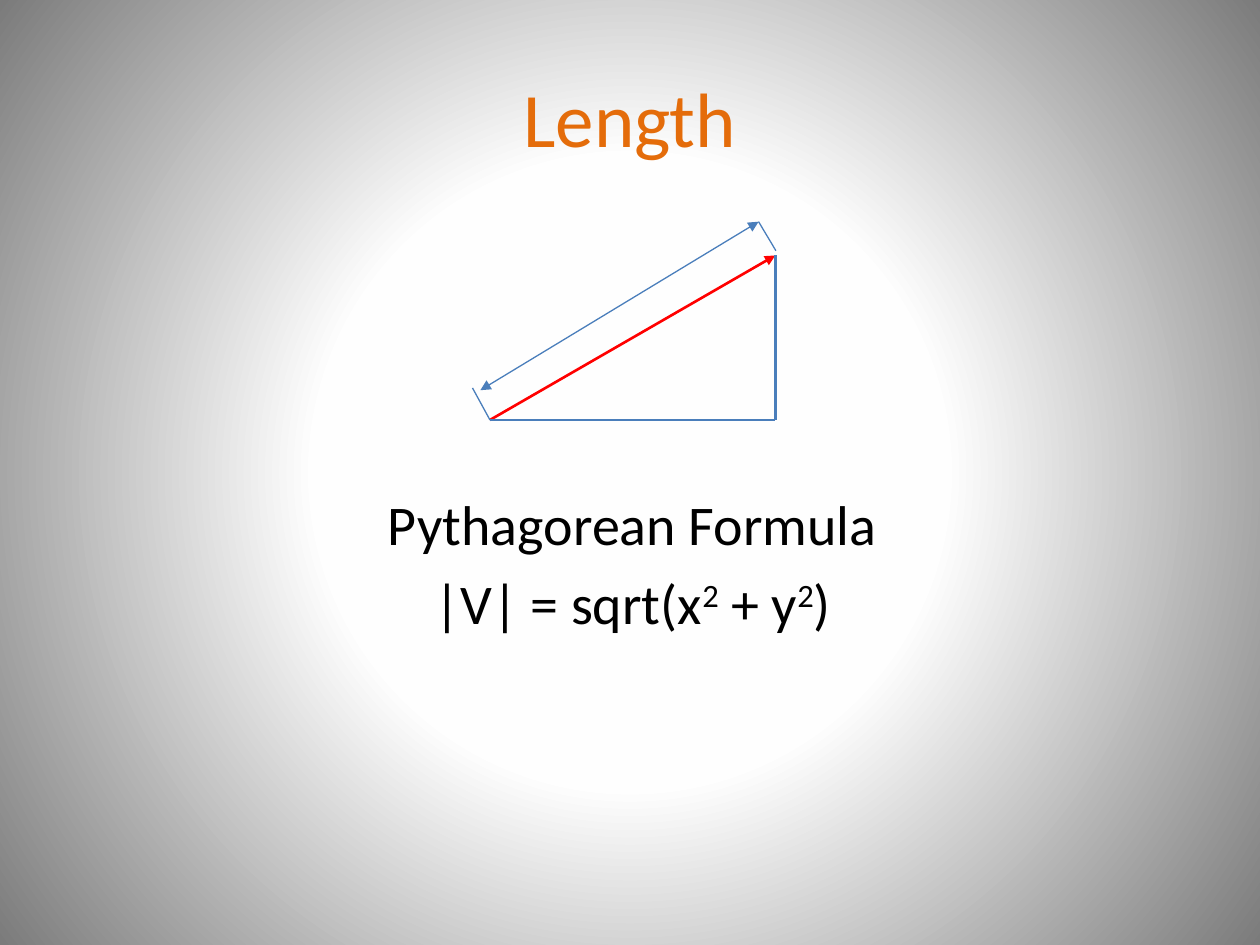
import pptx
import pptx.dml.color
import pptx.enum.shapes
import pptx.enum.text
import pptx.oxml.ns
import pptx.util
import lxml.etree

Pt = pptx.util.Pt
qn = pptx.oxml.ns.qn
FONT = "Calibri"
BLUE = "4A7EBB"
RED = "FF0000"


def color(hex_value):
    return pptx.dml.color.RGBColor.from_string(hex_value)


def add_child(parent, tag, **attributes):
    return lxml.etree.SubElement(parent, qn(tag), attributes)


def set_radial_background(slide, stops):
    slide.background.fill.gradient()
    gradient = next(slide.element.iter(qn("a:gradFill")))
    for child in list(gradient):
        gradient.remove(child)
    stop_list = add_child(gradient, "a:gsLst")
    for percent, hex_value in stops:
        stop = add_child(stop_list, "a:gs", pos=str(percent * 1000))
        add_child(stop, "a:srgbClr", val=hex_value)
    circle = add_child(gradient, "a:path", path="circle")
    add_child(circle, "a:fillToRect", l="50000", t="50000", r="50000", b="50000")


def place_placeholder(shape, left, top, width, height, anchor):
    shape.left, shape.top = Pt(left), Pt(top)
    shape.width, shape.height = Pt(width), Pt(height)
    frame = shape.text_frame
    frame.word_wrap = True
    frame.auto_size = pptx.enum.text.MSO_AUTO_SIZE.NONE
    frame.vertical_anchor = anchor
    frame.margin_left = frame.margin_right = Pt(3.6)
    frame.margin_top = frame.margin_bottom = Pt(3.6)
    return frame


def add_run(paragraph, text, size, hex_value, superscript=False):
    run = paragraph.add_run()
    run.text = text
    run.font.name = FONT
    run.font.size = Pt(size)
    run.font.color.rgb = color(hex_value)
    if superscript:
        run.font._element.set("baseline", "30000")


def format_formula_line(paragraph):
    paragraph.alignment = pptx.enum.text.PP_ALIGN.CENTER
    paragraph.space_before = Pt(7)
    properties = paragraph._p.get_or_add_pPr()
    properties.set("marL", str(Pt(27)))
    properties.set("indent", str(Pt(-27)))
    add_child(properties, "a:buNone")


def add_line(group, start, end, hex_value, width, head=False, tail=False):
    line = group.shapes.add_connector(
        pptx.enum.shapes.MSO_CONNECTOR.STRAIGHT,
        *(Pt(value) for value in (*start, *end)))
    line.line.color.rgb = color(hex_value)
    line.line.width = Pt(width)
    outline = line.line._get_or_add_ln()
    if head:
        add_child(outline, "a:headEnd", type="triangle")
    if tail:
        add_child(outline, "a:tailEnd", type="triangle")
    add_child(line._element.spPr, "a:effectLst")


def add_triangle(slide):
    group = slide.shapes.add_group_shape()
    origin, corner, tip = (280, 240), (443, 240), (443, 146)
    dimension_start, dimension_end = (274.5, 223), (433.5, 126.7)
    # Vector
    add_line(group, origin, tip, RED, 1.5, tail=True)
    # Dimension line with its extension lines
    add_line(group, origin, (270, 221.7), BLUE, 0.75)
    add_line(group, (443.4, 143.3), dimension_end, BLUE, 0.75)
    add_line(group, dimension_start, dimension_end, BLUE, 0.75, head=True, tail=True)
    # Horizontal and vertical components
    add_line(group, origin, corner, BLUE, 1.5)
    add_line(group, tip, corner, BLUE, 1.5)


def main():
    presentation = pptx.Presentation()
    presentation.slide_width, presentation.slide_height = Pt(720), Pt(540)
    slide = presentation.slides.add_slide(presentation.slide_layouts[1])
    set_radial_background(slide, [(0, "FFFFFF"), (40, "FEFEFE"), (100, "7B7B7B")])

    # Title
    title = place_placeholder(slide.shapes.title, 36, 21.6, 648, 90,
                              pptx.enum.text.MSO_ANCHOR.MIDDLE)
    title.paragraphs[0].alignment = pptx.enum.text.PP_ALIGN.CENTER
    add_run(title.paragraphs[0], "Length", 44, "E46C0A")

    # Formula, as lines of (text, superscript) runs
    body = place_placeholder(slide.placeholders[1], 37.5, 276, 648, 196,
                             pptx.enum.text.MSO_ANCHOR.TOP)
    lines = [
        [("Pythagorean Formula", False)],
        [("|V| = sqrt(x", False), ("2", True), (" + y", False), ("2", True), (")", False)],
    ]
    for index, runs in enumerate(lines):
        paragraph = body.add_paragraph() if index else body.paragraphs[0]
        format_formula_line(paragraph)
        for text, superscript in runs:
            add_run(paragraph, text, 32, "000000", superscript)

    # Diagram
    add_triangle(slide)
    presentation.save("out.pptx")


if __name__ == "__main__":
    main()
